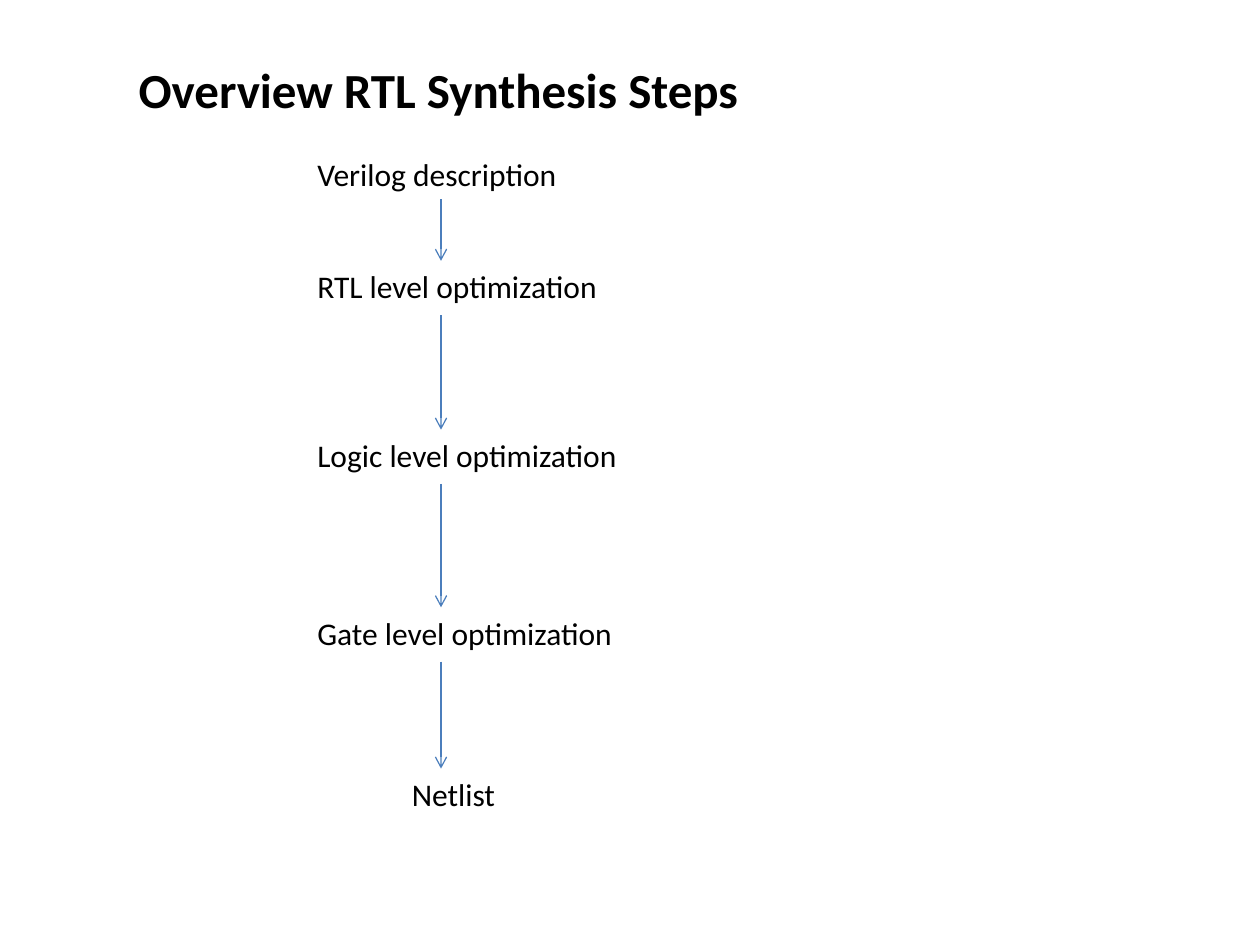
"""Builds a slide showing the RTL synthesis steps as a vertical flow."""
from dataclasses import dataclass
from itertools import pairwise

from lxml import etree
from pptx import Presentation
from pptx.dml.color import RGBColor
from pptx.enum.shapes import MSO_CONNECTOR
from pptx.enum.text import MSO_ANCHOR, MSO_AUTO_SIZE, PP_ALIGN
from pptx.oxml.ns import qn
from pptx.util import Inches, Pt


@dataclass(frozen=True)
class Theme:
    font: str = "Calibri"
    text: RGBColor = RGBColor(0, 0, 0)
    arrow: RGBColor = RGBColor(0x4B, 0x7E, 0xBC)
    background: RGBColor = RGBColor(255, 255, 255)
    title_size: int = 28
    step_size: int = 18
    arrow_width: float = 0.75


@dataclass(frozen=True)
class Step:
    label: str
    left: float
    top: float
    width: float = 2.67
    height: float = 1.01
    arrow_offset: float = 0.43


THEME = Theme()
ARROW_X = 3.5
STEPS = (
    Step("Verilog description", 2.42, 1.18, 2.33, 0.4, 0.4),
    Step("RTL level optimization", 2.42, 2.07),
    Step("Logic level optimization", 2.42, 3.41),
    Step("Gate level optimization", 2.42, 4.82),
    Step("Netlist", 3.17, 6.1, height=0.4),
)


def write_text(shape, text, size, bold=False):
    frame = shape.text_frame
    frame.word_wrap = True
    frame.auto_size = MSO_AUTO_SIZE.NONE
    frame.vertical_anchor = MSO_ANCHOR.TOP
    paragraph = frame.paragraphs[0]
    paragraph.alignment = PP_ALIGN.LEFT
    run = paragraph.add_run()
    run.text = text
    run.font.name = THEME.font
    run.font.size = Pt(size)
    run.font.bold = bold
    run.font.color.rgb = THEME.text


def add_title(slide, text):
    title = slide.shapes.title
    title.left, title.top = Inches(1), Inches(0.42)
    title.width, title.height = Inches(7.25), Inches(0.57)
    write_text(title, text, THEME.title_size, bold=True)


def add_step(slide, step):
    box = slide.shapes.add_textbox(
        Inches(step.left), Inches(step.top), Inches(step.width), Inches(step.height)
    )
    write_text(box, step.label, THEME.step_size)


def add_arrow(slide, start_y, end_y):
    arrow = slide.shapes.add_connector(
        MSO_CONNECTOR.STRAIGHT,
        Inches(ARROW_X), Inches(start_y), Inches(ARROW_X), Inches(end_y),
    )
    arrow.line.color.rgb = THEME.arrow
    arrow.line.width = Pt(THEME.arrow_width)
    etree.SubElement(arrow.line._get_or_add_ln(), qn("a:tailEnd"), type="arrow")
    etree.SubElement(arrow._element.spPr, qn("a:effectLst"))


def main():
    deck = Presentation()
    deck.slide_width, deck.slide_height = Inches(10), Inches(7.5)
    slide = deck.slides.add_slide(deck.slide_layouts.get_by_name("Title Only"))
    slide.background.fill.solid()
    slide.background.fill.fore_color.rgb = THEME.background
    add_title(slide, "Overview RTL Synthesis Steps")
    for step in STEPS:
        add_step(slide, step)
    for step, following in pairwise(STEPS):
        add_arrow(slide, step.top + step.arrow_offset, following.top)
    deck.save("out.pptx")


main()
